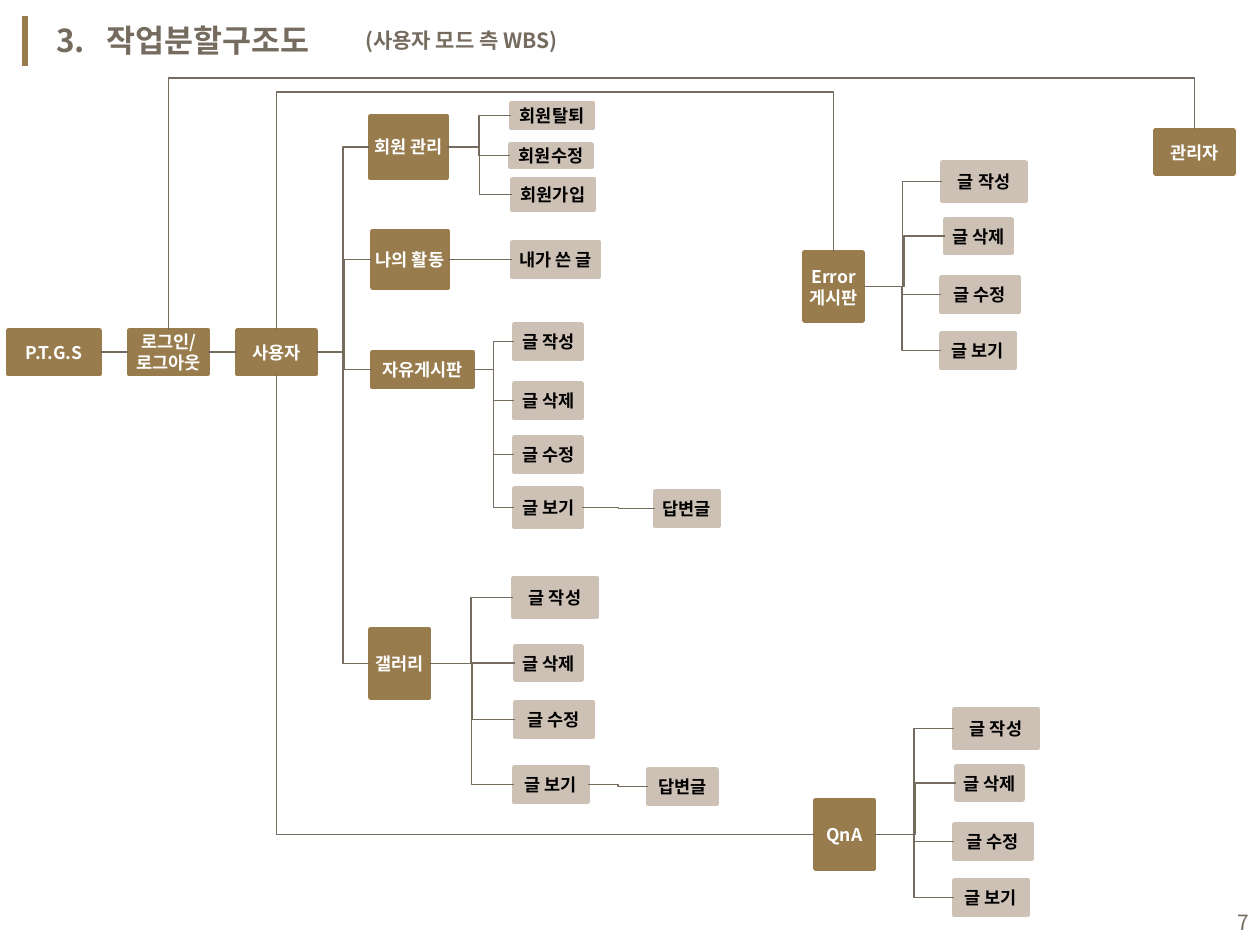
from lxml import etree
from pptx import Presentation, util as u
from pptx.dml.color import RGBColor
from pptx.enum import shapes, text
from pptx.oxml.ns import qn

FONT = "Noto Sans CJK KR"
BROWN = RGBColor(0x98, 0x7C, 0x4D)
BEIGE = RGBColor(0xCD, 0xC1, 0xB6)
GRAY = RGBColor(0x75, 0x6B, 0x5F)
WHITE = RGBColor(0xFF, 0xFF, 0xFF)
BLACK = RGBColor(0, 0, 0)
TOP, LEFT, BOTTOM, RIGHT = range(4)

# Main boxes: name -> (left, top, width, height) in px
MAIN = {
    "P.T.G.S": (8, 330, 92, 44),
    "로그인/\n로그아웃": (129, 330, 79, 44),
    "사용자": (237, 330, 79, 44),
    "관리자": (1155, 130, 79, 44),
    "회원 관리": (370, 116, 77, 62),
    "나의 활동": (372, 231, 76, 57),
    "자유게시판": (372, 352, 101, 35),
    "갤러리": (370, 629, 59, 69),
    "Error\n게시판": (804, 252, 59, 69),
    "QnA": (815, 800, 59, 69),
}
USER_MENUS = ["회원 관리", "나의 활동", "자유게시판", "갤러리"]

# Functions under each main box
FUNCTIONS = {
    "회원 관리": [
        ("회원탈퇴", (511, 103, 82, 25)),
        ("회원수정", (510, 144, 82, 23)),
        ("회원가입", (512, 179, 82, 31)),
    ],
    "나의 활동": [("내가 쓴 글", (512, 242, 87, 35))],
    "자유게시판": [
        ("글 작성", (514, 324, 68, 35)),
        ("글 삭제", (514, 383, 68, 35)),
        ("글 수정", (514, 437, 68, 35)),
        ("글 보기", (514, 488, 68, 39)),
    ],
    "갤러리": [
        ("글 작성", (513, 578, 84, 39)),
        ("글 삭제", (515, 646, 67, 34)),
        ("글 수정", (515, 702, 78, 35)),
        ("글 보기", (514, 767, 74, 35)),
    ],
    "Error\n게시판": [
        ("글 작성", (942, 162, 84, 39)),
        ("글 삭제", (945, 219, 67, 34)),
        ("글 수정", (941, 277, 78, 35)),
        ("글 보기", (941, 333, 74, 35)),
    ],
    "QnA": [
        ("글 작성", (954, 709, 84, 39)),
        ("글 삭제", (956, 766, 67, 34)),
        ("글 수정", (954, 824, 78, 35)),
        ("글 보기", (954, 880, 74, 35)),
    ],
}
# Replies, each under the last function of its board
REPLIES = {"자유게시판": (655, 491, 64, 35), "갤러리": (648, 769, 69, 35)}
# Routes over the top: from, to, height of the crossbar
LOOPS = [("로그인/\n로그아웃", "관리자", 78), ("사용자", "Error\n게시판", 92)]


def px(value):
    return u.Emu(round(value * 914400 / 126))


def style(paragraph, size, color, bold=True, align=None):
    paragraph.alignment = align
    font = paragraph.font
    font.size, font.bold, font.name = u.Pt(size), bold, FONT
    font.color.rgb = color
    properties = paragraph._p.pPr.find(qn("a:defRPr"))
    etree.SubElement(properties, qn("a:ea")).set("typeface", FONT)


def add_label(content, box, size, bold=True, align=None, tab=None):
    frame = slide.shapes.add_textbox(*map(px, box)).text_frame
    frame.word_wrap = True
    frame.text = content
    paragraph = frame.paragraphs[0]
    if tab:
        tabs = etree.SubElement(paragraph._p.get_or_add_pPr(), qn("a:tabLst"))
        etree.SubElement(tabs, qn("a:tab"), pos=str(px(tab)), algn="l")
    style(paragraph, size, GRAY, bold, align)
    return frame


def add_box(label, box, fill, color):
    shape = slide.shapes.add_shape(shapes.MSO_SHAPE.RECTANGLE, *map(px, box))
    shape.shadow.inherit = False
    shape.fill.solid()
    shape.fill.fore_color.rgb = fill
    shape.line.color.rgb = fill
    shape.line.width = u.Pt(2)
    frame = shape.text_frame
    frame.margin_left = frame.margin_right = frame.margin_top = frame.margin_bottom = 0
    frame.vertical_anchor = text.MSO_ANCHOR.MIDDLE
    frame.word_wrap = True
    frame.text = label
    for paragraph in frame.paragraphs:
        style(paragraph, 10, color, align=text.PP_ALIGN.CENTER)
    return shape


def add_line(kind, ends=(0, 0, 0, 0), color=GRAY, width=1):
    line = slide.shapes.add_connector(kind, *map(px, ends))
    line.line.color.rgb = color
    line.line.width = u.Pt(width)
    etree.SubElement(line._element.spPr, qn("a:effectLst"))
    return line


def join(start, end, kind=shapes.MSO_CONNECTOR.ELBOW, sides=(RIGHT, LEFT)):
    line = add_line(kind)
    line.begin_connect(start, sides[0])
    line.end_connect(end, sides[1])
    return line


def join_over(start, end, crossbar):
    """Leave start upwards, cross at the given height, come down on end."""
    line = join(start, end, sides=(TOP, TOP))
    rise, run = start.top - end.top, line.end_x - line.begin_x
    middle_x, middle_y = (line.begin_x + line.end_x) // 2, (start.top + end.top) // 2
    frame = line._element.spPr.find(qn("a:xfrm"))
    for name, value in (("rot", "5400000"), ("flipH", "1"), ("flipV", "1")):
        frame.set(name, value)
    line.left, line.top = middle_x - rise // 2, middle_y - run // 2
    line.width, line.height = rise, run
    guides = line._element.spPr.find(qn("a:prstGeom")).get_or_add_avLst()
    bend = round((start.top - px(crossbar)) / rise * 100000)
    etree.SubElement(guides, qn("a:gd"), name="adj1", fmla=f"val {bend}")


presentation = Presentation()
presentation.slide_width, presentation.slide_height = px(1260), px(945)
slide = presentation.slides.add_slide(presentation.slide_layouts[6])

# Heading and page number
add_line(shapes.MSO_CONNECTOR.STRAIGHT, (25, 16, 25, 66), BROWN, 3)
add_label("3.\t작업분할구조도", (44, 15, 404, 50), 18, tab=50)
add_label("(사용자 모드 측 WBS)", (353, 21, 228, 38), 12)
page_number = add_label("7", (968, 897, 293, 50), 12, False, text.PP_ALIGN.RIGHT)
page_number.vertical_anchor = text.MSO_ANCHOR.MIDDLE

# Main boxes
main = {name: add_box(name, box, BROWN, WHITE) for name, box in MAIN.items()}
program, login, user = list(main.values())[:3]
join(program, login, shapes.MSO_CONNECTOR.STRAIGHT)
join(login, user)
for name in USER_MENUS:
    join(user, main[name])

# Functions and replies
for name, functions in FUNCTIONS.items():
    for label, box in functions:
        function = add_box(label, box, BEIGE, BLACK)
        join(main[name], function)
    if name in REPLIES:
        join(function, add_box("답변글", REPLIES[name], BEIGE, BLACK))

# Long routes
for start, end, crossbar in LOOPS:
    join_over(main[start], main[end], crossbar)
corner = join(main["QnA"], user, sides=(LEFT, BOTTOM))
corner._element.spPr.find(qn("a:prstGeom")).set("prst", "bentConnector2")

presentation.save("out.pptx")
